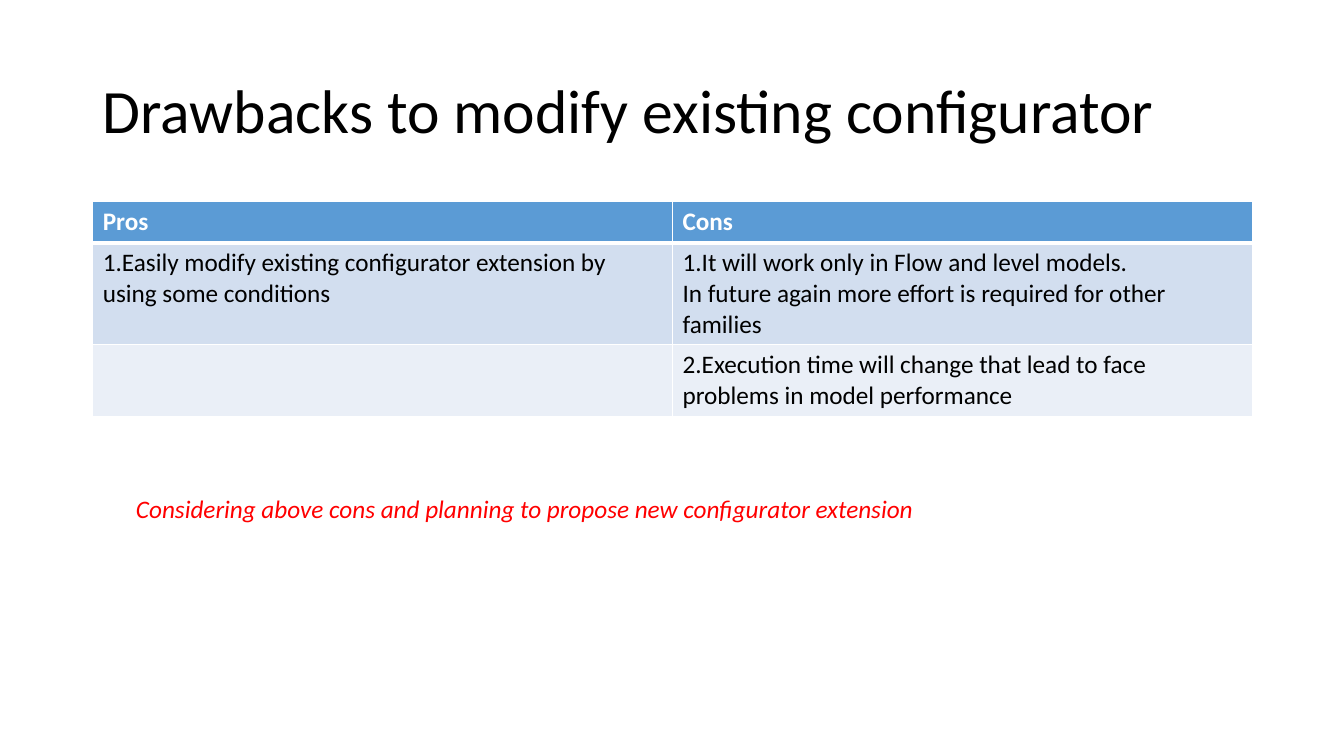
from dataclasses import dataclass

from lxml import etree
from pptx import Presentation, util as u
from pptx.dml.color import RGBColor
from pptx.enum import text
from pptx.oxml.ns import qn


@dataclass(frozen=True)
class Theme:
    font: str = "Calibri"
    title_size: int = 44
    body_size: int = 18
    ink: str = "000000"
    paper: str = "FFFFFF"
    accent: str = "FF0000"
    header_fill: str = "5B9BD5"
    row_fills: tuple = ("D2DEEF", "EAEFF7")
    rule: int = 1
    header_rule: int = 3


THEME = Theme()
WIDTH, HEIGHT = 13.33, 7.5
MARGIN = 0.92
CONTENT_WIDTH = 11.5
TITLE_BOX = (MARGIN, 0.4, CONTENT_WIDTH, 1.45)
TABLE_BOX = (MARGIN, 2, CONTENT_WIDTH, 2.11)
CONCLUSION_BOX = (1.25, 4.84, 8.31, 0.4)

ROW_HEIGHTS = (0.41, 1.01, 0.71)
PROS_AND_CONS = (
    ("Pros", "Cons"),
    ("1.Easily modify existing configurator extension by using some conditions",
     "1.It will work only in Flow and level models.\n"
     "In future again more effort is required for other families"),
    ("", "2.Execution time will change that lead to face problems in model performance"),
)


def format_text(text_frame, size, color, bold=False, italic=False):
    for paragraph in text_frame.paragraphs:
        for run in paragraph.runs:
            font = run.font
            font.name, font.size = THEME.font, u.Pt(size)
            font.bold, font.italic = bold, italic
            font.color.rgb = RGBColor.from_string(color)


def add_text(slide, box, words, size, color, italic=False):
    shape = slide.shapes.add_textbox(*map(u.Inches, box))
    text_frame = shape.text_frame
    text_frame.word_wrap = True
    text_frame.text = words
    format_text(text_frame, size, color, italic=italic)
    return text_frame


def add_title(slide, box):
    text_frame = add_text(slide, box, "Drawbacks to modify existing configurator",
                          THEME.title_size, THEME.ink)
    text_frame.vertical_anchor = text.MSO_ANCHOR.MIDDLE
    text_frame.paragraphs[0].line_spacing = 0.9


def set_borders(cell, row):
    """Draw thin rules, with a thick one between the header and the body."""
    properties = cell._tc.get_or_add_tcPr()
    thick_sides = {0: "B", 1: "T"}
    for side in "LRTB":
        points = THEME.header_rule if thick_sides.get(row) == side else THEME.rule
        line = etree.SubElement(properties, qn(f"a:ln{side}"), w=str(u.Pt(points)))
        fill = etree.SubElement(line, qn("a:solidFill"))
        etree.SubElement(fill, qn("a:srgbClr"), val=THEME.paper)


def add_pros_and_cons(slide, box):
    columns = len(PROS_AND_CONS[0])
    table = slide.shapes.add_table(
        len(PROS_AND_CONS), columns, *map(u.Inches, box)).table
    for column in table.columns:
        column.width = u.Inches(box[2] / columns)
    fills = (THEME.header_fill, *THEME.row_fills)
    for row, (entries, height, fill) in enumerate(zip(PROS_AND_CONS, ROW_HEIGHTS, fills)):
        table.rows[row].height = u.Inches(height)
        is_header = row == 0
        for column, words in enumerate(entries):
            cell = table.cell(row, column)
            cell.text_frame.text = words
            format_text(cell.text_frame, THEME.body_size,
                        THEME.paper if is_header else THEME.ink, bold=is_header)
            set_borders(cell, row)
            cell.fill.solid()
            cell.fill.fore_color.rgb = RGBColor.from_string(fill)


def add_conclusion(slide, box):
    text_frame = add_text(
        slide, box,
        "Considering above cons and planning to propose new configurator extension",
        THEME.body_size, THEME.accent, italic=True)
    text_frame.auto_size = text.MSO_AUTO_SIZE.SHAPE_TO_FIT_TEXT


def main():
    presentation = Presentation()
    presentation.slide_width = u.Inches(WIDTH)
    presentation.slide_height = u.Inches(HEIGHT)
    slide = presentation.slides.add_slide(presentation.slide_layouts[6])
    add_title(slide, TITLE_BOX)
    add_pros_and_cons(slide, TABLE_BOX)
    add_conclusion(slide, CONCLUSION_BOX)
    presentation.save("out.pptx")


if __name__ == "__main__":
    main()
